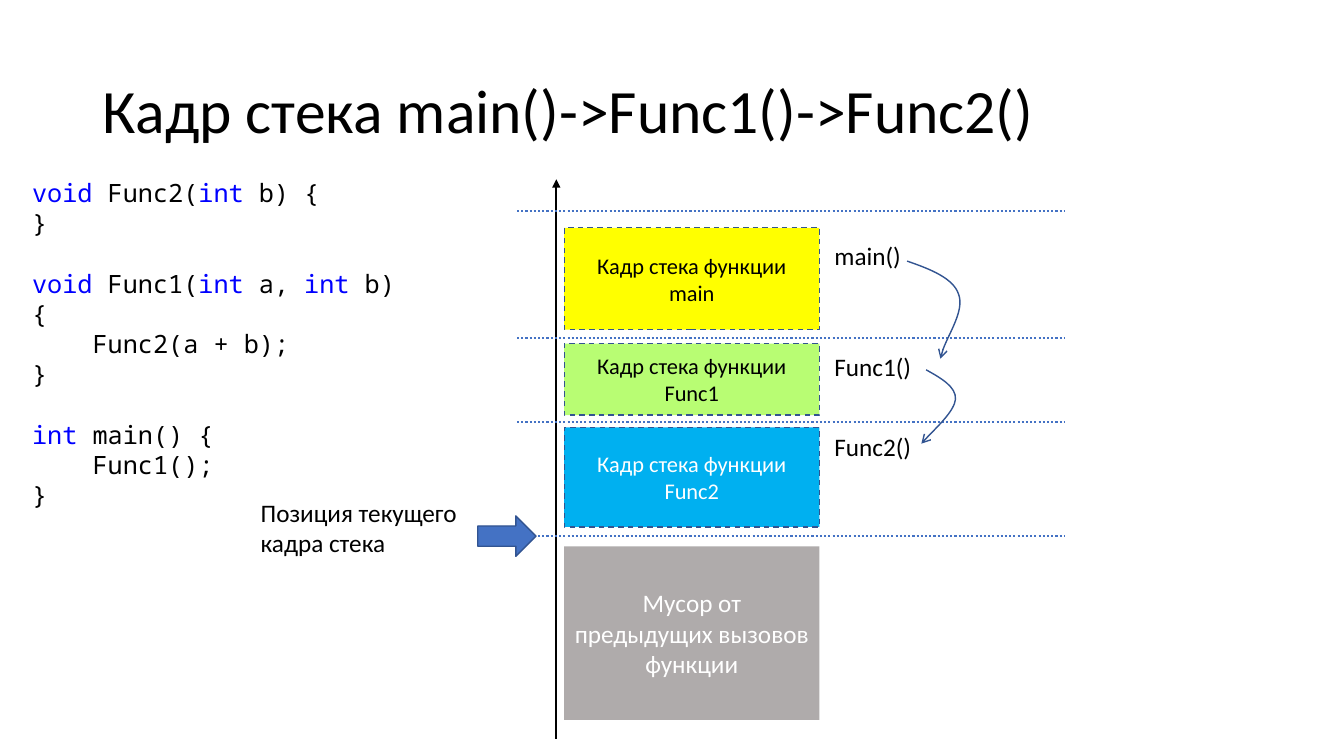
from lxml.etree import SubElement
from pptx import Presentation
from pptx.dml.color import RGBColor
from pptx.enum.dml import MSO_LINE
from pptx.enum.shapes import MSO_CONNECTOR, MSO_SHAPE
from pptx.enum.text import MSO_ANCHOR, MSO_AUTO_SIZE, PP_ALIGN
from pptx.oxml.ns import qn
from pptx.util import Cm, Pt

COLORS = {
    "black": "000000",
    "white": "FFFFFF",
    "keyword": "0000FF",
    "blue": "4472C4",
    "outline": "325491",
    "yellow": "FFFF00",
    "green": "B8FD73",
    "sky": "00B0F0",
    "gray": "AFABAB",
}


def color(name):
    return RGBColor.from_string(COLORS[name])


def write(paragraph, text, size=18, font="Calibri", ink="black", align=PP_ALIGN.LEFT):
    paragraph.alignment = align
    run = paragraph.add_run()
    run.text = text
    run.font.name = font
    run.font.size = Pt(size)
    run.font.color.rgb = color(ink)


presentation = Presentation()
presentation.slide_width = Cm(33.87)
presentation.slide_height = Cm(19.05)
slide = presentation.slides.add_slide(presentation.slide_layouts[5])
shapes = slide.shapes

title = shapes.title
title.left, title.top, title.width, title.height = Cm(2.33), Cm(1.01), Cm(29.21), Cm(3.68)
title.text_frame.vertical_anchor = MSO_ANCHOR.MIDDLE
title_paragraph = title.text_frame.paragraphs[0]
title_paragraph.line_spacing = 0.9
write(title_paragraph, "Кадр стека main()->Func1()->Func2()", size=44)

frames = [
    ("Кадр стека функции main", 5.74, 2.57, "yellow", "black", 16),
    ("Кадр стека функции Func1", 8.66, 1.8, "green", "black", 16),
    ("Кадр стека функции Func2", 10.77, 2.51, "sky", "white", 16),
    ("Мусор от предыдущих вызовов функции", 13.77, 4.37, "gray", "white", 18),
]
for text, top, height, fill, ink, size in frames:
    frame = shapes.add_shape(MSO_SHAPE.RECTANGLE, Cm(14.22), Cm(top), Cm(6.43), Cm(height))
    frame.shadow.inherit = False
    frame.fill.solid()
    frame.fill.fore_color.rgb = color(fill)
    if fill == "gray":
        frame.line.fill.background()
    else:
        frame.line.color.rgb = color("outline")
        frame.line.width = Pt(1)
        frame.line.dash_style = MSO_LINE.DASH
    frame.text_frame.word_wrap = True
    frame.text_frame.vertical_anchor = MSO_ANCHOR.MIDDLE
    write(frame.text_frame.paragraphs[0], text, size=size, ink=ink, align=PP_ALIGN.CENTER)

labels = [
    ("main()", 20.78, 5.94, 2.21, 1.02, False),
    ("Func1()", 20.78, 8.74, 2.46, 1.02, False),
    ("Func2()", 20.78, 10.74, 2.46, 1.02, False),
    ("Позиция текущего кадра стека", 6.32, 12.4, 5.72, 1.8, True),
]
for text, left, top, width, height, wrap in labels:
    label = shapes.add_textbox(Cm(left), Cm(top), Cm(width), Cm(height))
    label.text_frame.word_wrap = wrap
    label.text_frame.auto_size = MSO_AUTO_SIZE.SHAPE_TO_FIT_TEXT
    write(label.text_frame.paragraphs[0], text)

axis = (14.02, 18.62, 14.02, 4.52)
borders = [(13.03, y, 26.82, y) for y in (5.31, 8.51, 10.64, 13.51)]
for ends in [axis] + borders:
    line = shapes.add_connector(MSO_CONNECTOR.STRAIGHT, *[Cm(value) for value in ends])
    line.line.width = Pt(1.5)
    properties = line._element.spPr
    if ends == axis:
        line.line.color.rgb = color("black")
        SubElement(properties.find(qn("a:ln")), qn("a:tailEnd"), type="triangle")
    else:
        line.line.color.rgb = color("blue")
        line.line.dash_style = MSO_LINE.ROUND_DOT
    SubElement(properties, qn("a:effectLst"))

call_curves = [
    [(22.86, 6.58), (23.44, 6.78), (24.03, 7.01), (24.16, 7.42),
     (24.31, 7.82), (23.75, 8.66), (23.7, 9.04)],
    [(23.34, 9.32), (23.72, 9.53), (24.1, 9.75), (24.08, 10.06),
     (24.05, 10.36), (23.37, 11), (23.22, 11.18)],
]
for curve in call_curves:
    start, *controls = [(Cm(x), Cm(y)) for x, y in curve]
    builder = shapes.build_freeform(*start)
    builder.add_line_segments(controls, close=False)
    call_arrow = builder.convert_to_shape()
    call_arrow.shadow.inherit = False
    call_arrow.fill.background()
    call_arrow.line.color.rgb = color("outline")
    call_arrow.line.width = Pt(1)
    properties = call_arrow._element.spPr
    SubElement(properties.find(qn("a:ln")), qn("a:tailEnd"), type="arrow")
    segments = list(properties.iter(qn("a:lnTo")))
    outline = segments[0].getparent()
    for first in range(0, len(segments), 3):
        bezier = SubElement(outline, qn("a:cubicBezTo"))
        for segment in segments[first:first + 3]:
            bezier.append(segment[0])
            outline.remove(segment)

pointer = shapes.add_shape(MSO_SHAPE.RIGHT_ARROW, Cm(12.04), Cm(13), Cm(1.47), Cm(1.02))
pointer.shadow.inherit = False
pointer.fill.solid()
pointer.fill.fore_color.rgb = color("blue")
pointer.line.color.rgb = color("outline")
pointer.line.width = Pt(1)

code_blocks = [
    ["|void| Func2(|int| b) {", "}"],
    ["|void| Func1(|int| a, |int| b) {", "    Func2(a + b);", "}"],
    ["|int| main() {", "    Func1();", "}"],
]
code = shapes.add_textbox(Cm(0.56), Cm(4.34), Cm(10.11), Cm(7.95)).text_frame
code.word_wrap = True
code.auto_size = MSO_AUTO_SIZE.SHAPE_TO_FIT_TEXT
paragraph = code.paragraphs[0]
for block_number, block in enumerate(code_blocks):
    for line_number, code_line in enumerate(block):
        if block_number or line_number:
            paragraph = code.add_paragraph()
        if block_number and not line_number:
            paragraph.space_before = Pt(21.6)
        for part_number, part in enumerate(code_line.split("|")):
            if part:
                ink = "keyword" if part_number % 2 else "black"
                write(paragraph, part, font="Noto Sans Mono", ink=ink)

presentation.save("out.pptx")
